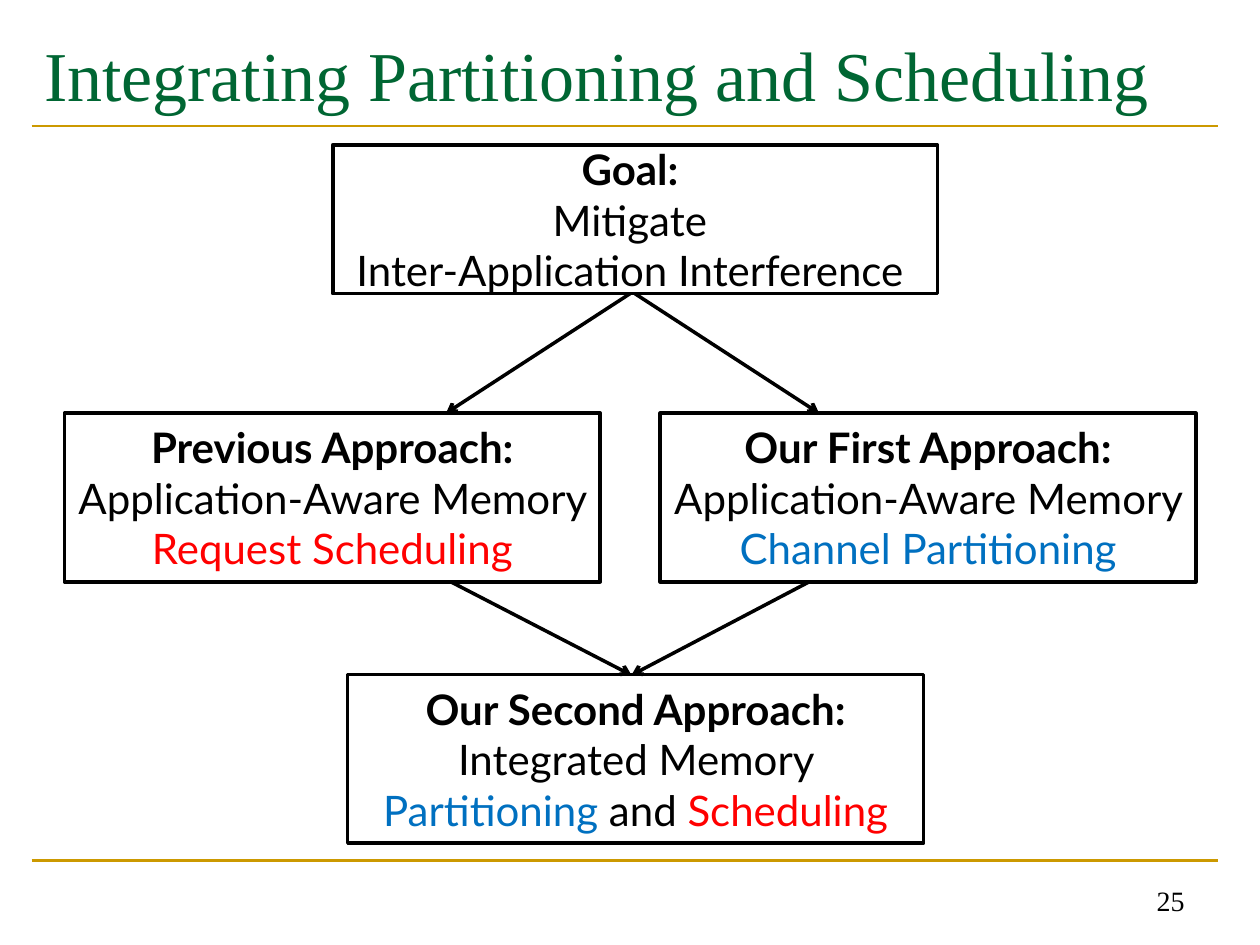
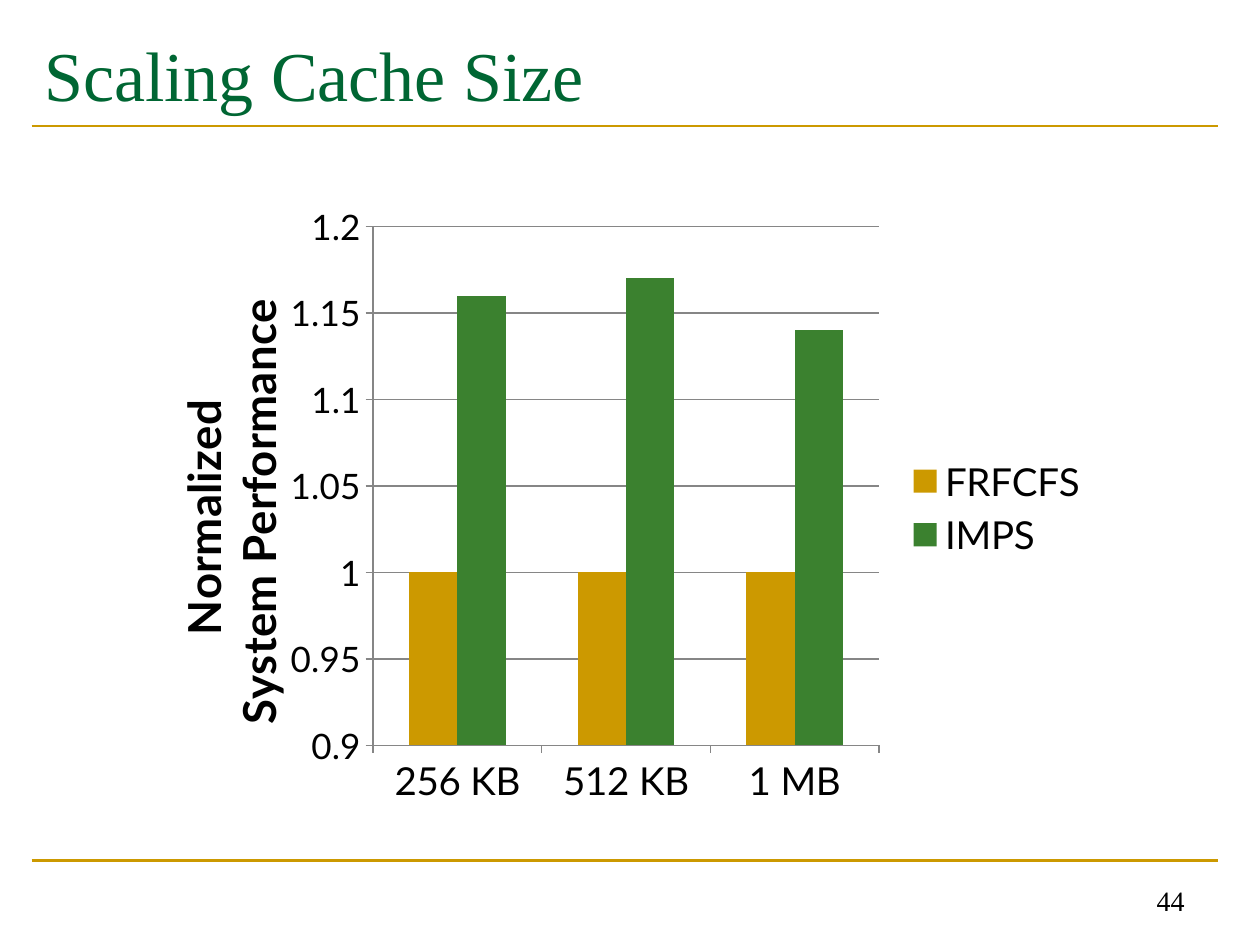
import pptx
import pptx.util
import pptx.chart.data
import pptx.dml.color
import pptx.enum.chart
import pptx.enum.shapes
import pptx.enum.text
import pptx.oxml

Cm, Pt = pptx.util.Cm, pptx.util.Pt
RGBColor = pptx.dml.color.RGBColor
ALIGN = pptx.enum.text.PP_ALIGN
ANCHOR = pptx.enum.text.MSO_ANCHOR

BLACK = RGBColor(0x00, 0x00, 0x00)
GREEN = RGBColor(0x00, 0x66, 0x33)
LEAF = RGBColor(0x3B, 0x81, 0x2F)
GOLD = RGBColor(0xCC, 0x99, 0x00)
RED = RGBColor(0xFF, 0x00, 0x00)
BLUE = RGBColor(0x00, 0x70, 0xC0)
GRAY = RGBColor(0x86, 0x86, 0x86)
SERIF, SANS = "Times New Roman", "Lato"


def write(shape, lines, font=SANS, size=24, align=ALIGN.CENTER, anchor=ANCHOR.MIDDLE):
    """Fill a shape with lines, each a list of (text, colour, bold) runs."""
    frame = shape.text_frame
    frame.word_wrap = True
    frame.vertical_anchor = anchor
    for i, line in enumerate(lines):
        para = frame.paragraphs[0] if i == 0 else frame.add_paragraph()
        para.alignment = align
        for words, color, bold in line:
            run = para.add_run()
            run.text = words
            run.font.name, run.font.size = font, Pt(size)
            run.font.bold, run.font.color.rgb = bold, color


def link(slide, start, end, color, width, arrow=False):
    """Draw a straight line, with an open arrowhead if asked."""
    line = slide.shapes.add_connector(
        pptx.enum.shapes.MSO_CONNECTOR.STRAIGHT,
        *(Cm(n) for n in start + end))
    line.line.color.rgb, line.line.width = color, Pt(width)
    ns = pptx.oxml.ns.nsdecls("a")
    if arrow:
        line.line._get_or_add_ln().append(
            pptx.oxml.parse_xml(f'<a:tailEnd {ns} type="arrow"/>'))
    line._element.spPr.append(pptx.oxml.parse_xml(f"<a:effectLst {ns}/>"))


deck = pptx.Presentation()
deck.slide_width, deck.slide_height = Cm(25.4), Cm(19.05)

# Shared frame: rules, title and page number
slides = []
for title, page in (("Integrating Partitioning and Scheduling", "25"),
                    ("Scaling Cache Size", "44")):
    slide = deck.slides.add_slide(deck.slide_layouts[6])
    for y in (17.35, 2.54):
        link(slide, (0.64, y), (24.56, y), GOLD, 1.5)
    head = slide.shapes.add_textbox(Cm(0.64), Cm(0.43), Cm(23.93), Cm(2.11))
    write(head, [[(title, GREEN, False)]], font=SERIF, size=40, align=ALIGN.LEFT)
    foot = slide.shapes.add_textbox(Cm(18.21), Cm(17.35), Cm(5.92), Cm(1.27))
    write(foot, [[(page, BLACK, False)]], font=SERIF, size=16,
          align=ALIGN.RIGHT, anchor=ANCHOR.BOTTOM)
    slides.append(slide)
flow, scale = slides

# Slide 1: arrows between the boxes
for start, end in (((12.7, 5.92), (8.99, 8.33)), ((12.8, 5.92), (16.51, 8.33)),
                   ((9.09, 11.73), (12.73, 13.61)), ((16.31, 11.73), (12.73, 13.61))):
    link(flow, start, end, BLACK, 2, arrow=True)

# Slide 1: goal and approaches
memory = ("Application-Aware Memory ", BLACK, False)
boxes = (
    (1.3, 8.33, 10.8, 3.4, [
        [("Previous Approach:", BLACK, True)],
        [memory, ("Request Scheduling", RED, False)]]),
    (13.31, 8.33, 10.8, 3.4, [
        [("Our First Approach:", BLACK, True)],
        [memory, ("Channel Partitioning", BLUE, False)]]),
    (7.01, 13.6, 11.61, 3.4, [
        [("Our Second Approach:", BLACK, True),
         (" Integrated Memory ", BLACK, False),
         ("Partitioning", BLUE, False),
         (" and ", BLACK, False),
         ("Scheduling", RED, False)]]),
    (6.71, 2.92, 12.19, 3.0, [
        [("Goal: ", BLACK, True)],
        [("Mitigate ", BLACK, False)],
        [("Inter-Application Interference ", BLACK, False)]]),
)
for x, y, w, h, lines in boxes:
    box = flow.shapes.add_shape(pptx.enum.shapes.MSO_SHAPE.RECTANGLE,
                                Cm(x), Cm(y), Cm(w), Cm(h))
    box.shadow.inherit = False
    box.fill.background()
    box.line.color.rgb, box.line.width = BLACK, Pt(2)
    write(box, lines)

# Slide 2: chart data
data = pptx.chart.data.CategoryChartData()
data.categories = ["256 KB", "512 KB", "1 MB"]
data.add_series("FRFCFS", (1, 1, 1))
data.add_series("IMPS", (1.16, 1.17, 1.14))
chart = scale.shapes.add_chart(
    pptx.enum.chart.XL_CHART_TYPE.COLUMN_CLUSTERED,
    Cm(2.62), Cm(3.94), Cm(19.61), Cm(12.6), data).chart
chart.has_title = False
chart.font.name, chart.font.size, chart.font.color.rgb = SANS, Pt(10), BLACK

# Slide 2: bars and legend
plot = chart.plots[0]
plot.gap_width, plot.overlap, plot.vary_by_categories = 150, 0, False
for bar, color in zip(plot.series, (GOLD, LEAF)):
    bar.format.fill.solid()
    bar.format.fill.fore_color.rgb = color
chart.has_legend = True
chart.legend.position = pptx.enum.chart.XL_LEGEND_POSITION.RIGHT
chart.legend.include_in_layout = False
chart.legend.font.size = Pt(22)

# Slide 2: axes
cat, val = chart.category_axis, chart.value_axis
for axis, size in ((cat, 22), (val, 20)):
    axis.tick_labels.font.size = Pt(size)
    axis.major_tick_mark = pptx.enum.chart.XL_TICK_MARK.OUTSIDE
    axis.format.line.color.rgb = GRAY
val.minimum_scale, val.maximum_scale, val.major_unit = 0.9, 1.2, 0.05
val.tick_labels.number_format = "General"
val.tick_labels.number_format_is_linked = False
val.has_major_gridlines = True
val.major_gridlines.format.line.color.rgb = GRAY
label = val.axis_title
label.text_frame.text = "Normalized \nSystem Performance"
for para in label.text_frame.paragraphs:
    for run in para.runs:
        run.font.name, run.font.size, run.font.bold = SANS, Pt(26), True
        run.font.color.rgb = BLACK

# Slide 2: fixed places of the plot and the axis title
area = chart._chartSpace.chart.plotArea
places = (
    (area, 0, '<c:layoutTarget val="inner"/>', (("x", 0.25), ("y", 0.05), ("w", 0.52), ("h", 0.83))),
    (label._element, 1, "", (("x", 0.04), ("y", 0.16))),
)
for owner, index, target, spots in places:
    for old in owner.findall(pptx.oxml.ns.qn("c:layout")):
        owner.remove(old)
    modes = "".join(f'<c:{k}Mode val="edge"/>' for k, n in spots if k in "xy")
    sizes = "".join(f'<c:{k} val="{n}"/>' for k, n in spots)
    owner.insert(index, pptx.oxml.parse_xml(
        f'<c:layout {pptx.oxml.ns.nsdecls("c")}><c:manualLayout>'
        f"{target}{modes}{sizes}</c:manualLayout></c:layout>"))

deck.save("out.pptx")
